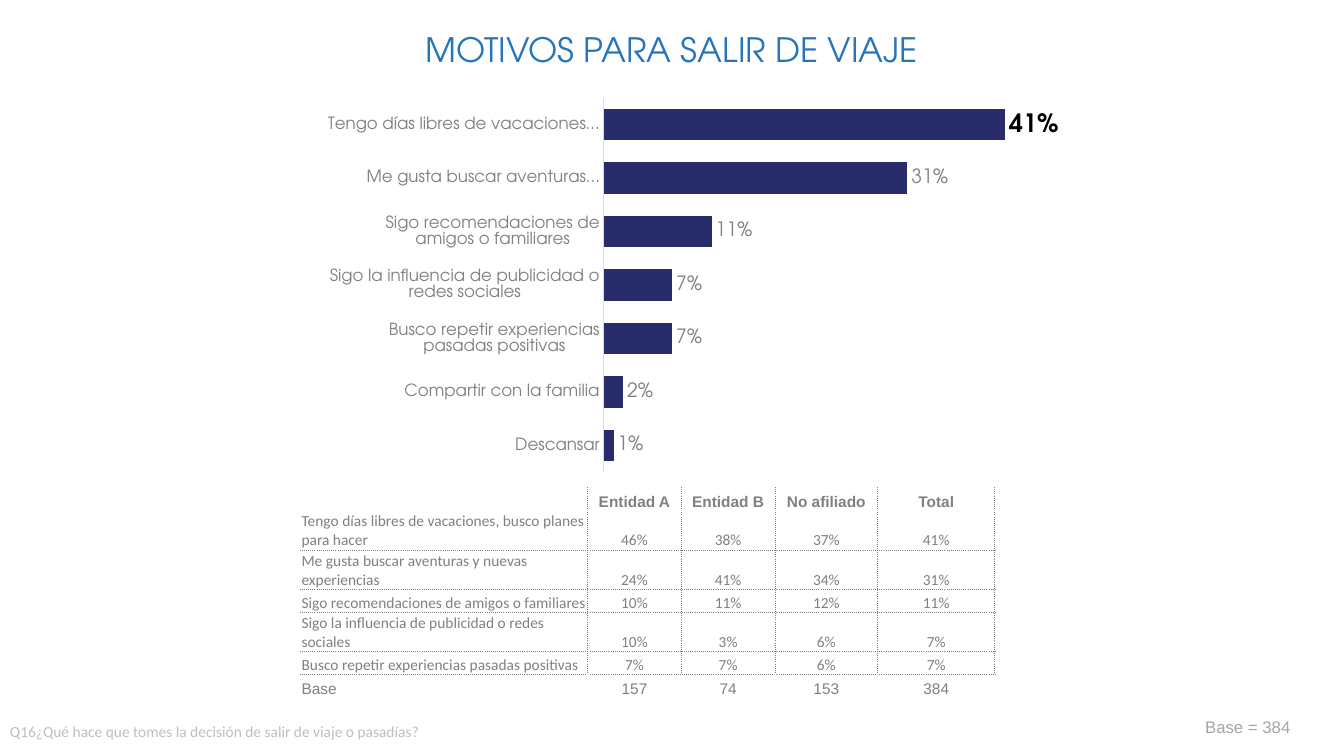
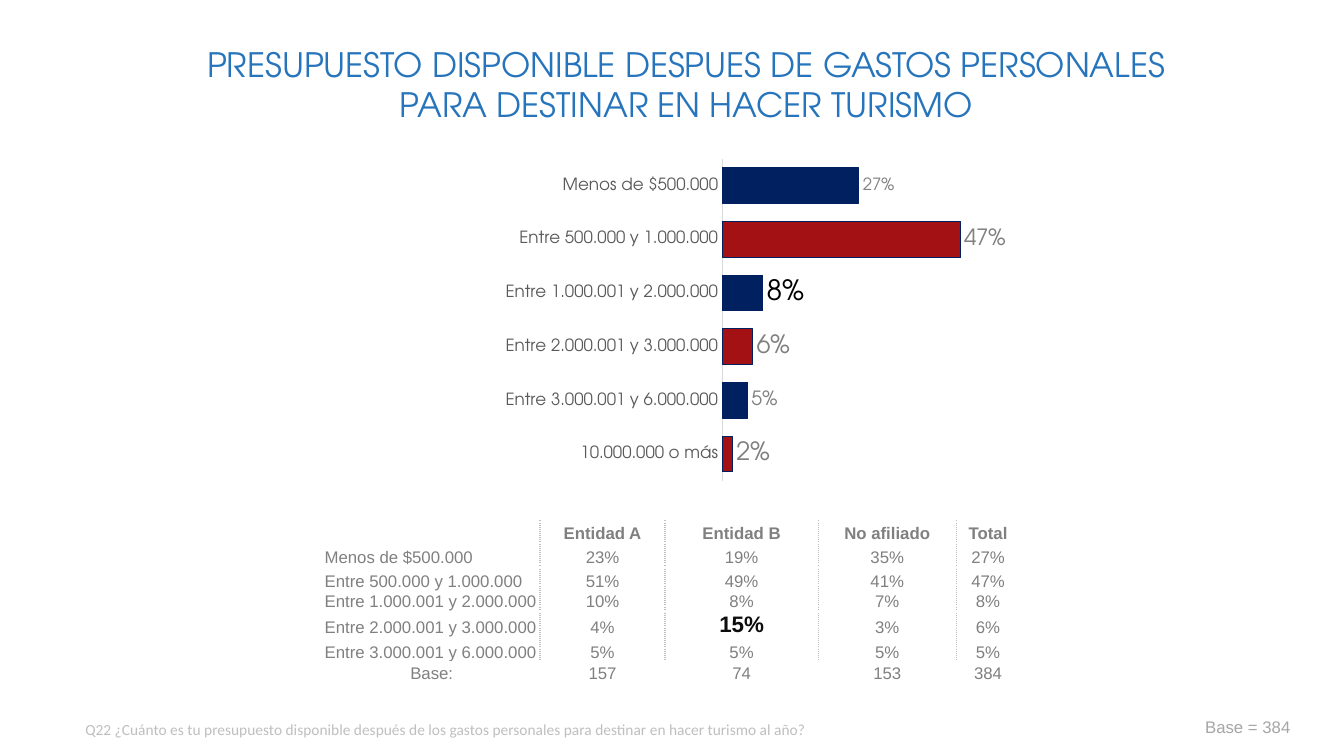
from dataclasses import dataclass

from lxml import etree
from pptx import Presentation
from pptx import util as u
from pptx.chart.data import CategoryChartData
from pptx.dml.color import RGBColor
from pptx.enum import chart as charts
from pptx.enum import text
from pptx.oxml import parse_xml
from pptx.oxml.ns import nsdecls, qn


@dataclass(frozen=True)
class Theme:
    """Colours, fonts and type sizes shared by the slides."""

    title: str = "2674BB"
    gray: str = "808080"
    dark_gray: str = "595959"
    axis: str = "D9D9D9"
    question: str = "BFBFBF"
    base: str = "A6A6A6"
    black: str = "000000"
    highlight: str = "0D0D0D"
    violet: str = "282C6A"
    navy: str = "002060"
    red: str = "A31115"
    table_rule: str = "7F7F7F"
    display_font: str = "TeX Gyre Adventor"
    body_font: str = "Calibri"
    table_font: str = "Arial"
    title_size: int = 24
    note_size: int = 11
    base_size: int = 12
    axis_size: int = 12


THEME = Theme()
HEADERS = ["", "Entidad A", "Entidad B", "No afiliado", "Total"]
BASE_COUNTS = ["157", "74", "153", "384"]


def format_font(font, name, size, color, bold=False):
    """Apply typeface, size, colour and weight to a font."""
    font.name = name
    font.size = u.Pt(size)
    font.color.rgb = RGBColor.from_string(color)
    font.bold = bold


def write_text(frame, content, *, font, size, color, bold=False, align=text.PP_ALIGN.LEFT, before=0):
    """Write one formatted paragraph into a text frame."""
    paragraph = frame.paragraphs[0]
    paragraph.alignment = align
    paragraph.space_before = u.Pt(before)
    if content:
        run = paragraph.add_run()
        run.text = content
        format_font(run.font, font, size, color, bold)
    else:
        etree.SubElement(paragraph._p, qn("a:endParaRPr"), sz=str(size * 100))


def place(shape, box):
    """Move and size a shape to a box given in centimetres."""
    shape.left, shape.top, shape.width, shape.height = map(u.Cm, box)


def add_title(slide, content, box):
    """Fill and place the title placeholder."""
    title = slide.shapes.title
    place(title, box)
    frame = title.text_frame
    frame.margin_left = frame.margin_right = frame.margin_bottom = 0
    frame.margin_top = u.Cm(0.03)
    frame.vertical_anchor = text.MSO_ANCHOR.TOP
    frame.word_wrap = True
    frame.auto_size = text.MSO_AUTO_SIZE.NONE
    write_text(frame, content, font=THEME.display_font, size=THEME.title_size,
               color=THEME.title, align=text.PP_ALIGN.CENTER, before=1)


def add_note(slide, content, box, wrap=True, **style):
    """Add a text box with one line of text."""
    frame = slide.shapes.add_textbox(*map(u.Cm, box)).text_frame
    frame.word_wrap = wrap
    frame.auto_size = text.MSO_AUTO_SIZE.SHAPE_TO_FIT_TEXT
    write_text(frame, content, **style)


def add_footers(slide, question, left, top):
    """Add the survey question and the sample base."""
    add_note(slide, question, (left, top, 29.36, 0.74), font=THEME.body_font,
             size=THEME.note_size, color=THEME.question)
    add_note(slide, "Base = 384", (30.12, 17.93, 2.69, 0.76), wrap=False,
             font=THEME.table_font, size=THEME.base_size, color=THEME.base)


def set_plot_layout(chart, bounds):
    """Fix the inner plot area as fractions of the chart."""
    plot_area = chart._chartSpace.chart.plotArea
    for layout in plot_area.findall(qn("c:layout")):
        plot_area.remove(layout)
    values = "".join(f'<c:{tag} val="{value}"/>' for tag, value in zip("xywh", bounds))
    plot_area.insert(0, parse_xml(
        f'<c:layout {nsdecls("c")}><c:manualLayout><c:layoutTarget val="inner"/>'
        f'<c:xMode val="edge"/><c:yMode val="edge"/>{values}</c:manualLayout></c:layout>'))


def format_axes(chart, color, maximum, reverse):
    """Style the category axis and hide the value axis marks."""
    for axis in (chart.category_axis, chart.value_axis):
        axis.major_tick_mark = axis.minor_tick_mark = charts.XL_TICK_MARK.NONE
        axis.has_major_gridlines = False
    category_axis, value_axis = chart.category_axis, chart.value_axis
    category_axis.reverse_order = reverse
    category_axis.format.line.color.rgb = RGBColor.from_string(THEME.axis)
    category_axis.format.line.width = u.Pt(0.75)
    format_font(category_axis.tick_labels.font, THEME.display_font, THEME.axis_size, color)
    value_axis.tick_label_position = charts.XL_TICK_LABEL_POSITION.NONE
    value_axis.format.line.fill.background()
    value_axis.minimum_scale, value_axis.maximum_scale = 0, maximum


def paint_bar(target, fill, outline):
    """Fill a series or point and draw its outline if it has one."""
    target.format.fill.solid()
    target.format.fill.fore_color.rgb = RGBColor.from_string(fill)
    if outline:
        target.format.line.color.rgb = RGBColor.from_string(outline)
        target.format.line.width = u.Pt(0.75)


def add_bar_chart(slide, box, bars, *, layout, maximum, gap, fill, axis_color, label_size,
                  reverse=False, outline=None, point_fills=None, point_labels=None):
    """Add a horizontal bar chart with percentage labels."""
    data = CategoryChartData(number_format="0%")
    data.categories = [category for category, _ in bars]
    data.add_series("Series 1", [value for _, value in bars])
    chart = slide.shapes.add_chart(charts.XL_CHART_TYPE.BAR_CLUSTERED, *map(u.Cm, box), data).chart
    chart.has_legend = chart.has_title = False
    format_font(chart.font, THEME.body_font, 10, THEME.black)
    set_plot_layout(chart, layout)
    format_axes(chart, axis_color, maximum, reverse)
    plot = chart.plots[0]
    plot.gap_width = gap
    plot.vary_by_categories = False
    series = plot.series[0]
    paint_bar(series, fill, outline)
    labels = series.data_labels
    labels.show_value = True
    labels.number_format, labels.number_format_is_linked = "0%", False
    labels.position = charts.XL_LABEL_POSITION.OUTSIDE_END
    format_font(labels.font, THEME.display_font, label_size, THEME.gray)
    for index, color in (point_fills or {}).items():
        paint_bar(series.points[index], color, outline)
    for index, (size, color, bold) in (point_labels or {}).items():
        label = series.points[index].data_label
        format_font(label.font, THEME.display_font, size, color, bold)
        label.position = charts.XL_LABEL_POSITION.OUTSIDE_END


def set_borders(cell, sides, color, width, dash):
    """Draw dotted borders on the given sides of a cell."""
    properties = cell._tc.get_or_add_tcPr()
    for side in "LRTB":
        if side in sides:
            properties.append(parse_xml(
                f'<a:ln{side} {nsdecls("a")} w="{u.Pt(width)}"><a:solidFill><a:srgbClr val="{color}"/>'
                f'</a:solidFill><a:prstDash val="{dash}"/></a:ln{side}>'))


def border_sides(row, column, last_row, last_column, ruled):
    """Tell which sides of a table cell carry a rule."""
    sides = set()
    if row < last_row:
        if column > 0:
            sides.add("L")
        if column < last_column or ruled:
            sides.add("R")
    if ruled and row > 1:
        sides.add("T")
    if ruled and 0 < row < last_row:
        sides.add("B")
    return sides


def add_results_table(slide, origin, widths, heights, rows, *, size, body_font, ruled,
                      rule, highlights=None):
    """Add the table of answers by affiliation."""
    table = slide.shapes.add_table(len(rows), len(widths), *map(u.Cm, origin),
                                   u.Cm(sum(widths)), u.Cm(sum(heights))).table
    table.first_row = table.horz_banding = False
    for column, width in zip(table.columns, widths):
        column.width = u.Cm(width)
    last_row, last_column = len(rows) - 1, len(widths) - 1
    for row, values in enumerate(rows):
        table.rows[row].height = u.Cm(heights[row])
        for column, value in enumerate(values):
            cell = table.cell(row, column)
            set_borders(cell, border_sides(row, column, last_row, last_column, ruled), *rule)
            cell.fill.background()
            cell.margin_left = cell.margin_right = cell.margin_top = u.Cm(0.03)
            cell.margin_bottom = 0
            cell.vertical_anchor = text.MSO_ANCHOR.BOTTOM
            centered = column > 0 or value == "Base:"
            style = dict(font=body_font if 0 < row < last_row else THEME.table_font,
                         size=size, color=THEME.gray, bold=row == 0,
                         align=text.PP_ALIGN.CENTER if centered else text.PP_ALIGN.LEFT)
            style.update((highlights or {}).get((row, column), {}))
            write_text(cell.text_frame, value, **style)


def build_motives(slide):
    """Build the slide on reasons to travel."""
    add_bar_chart(
        slide, (8.26, 2.06, 18.42, 10.29),
        [("Descansar", 0.01), ("Compartir con la familia", 0.02),
         ("Busco repetir experiencias pasadas positivas", 0.07),
         ("Sigo la influencia de publicidad o redes sociales", 0.07),
         ("Sigo recomendaciones de amigos o familiares", 0.11),
         ("Me gusta buscar aventuras…", 0.31), ("Tengo días libres de vacaciones…", 0.41)],
        layout=(0.377, 0.04, 0.623, 0.916), maximum=0.46, gap=70, fill=THEME.violet,
        axis_color=THEME.gray, label_size=14, point_labels={6: (18, THEME.black, True)})
    add_results_table(
        slide, (7.57, 12.29), [7.24, 2.36, 2.36, 2.59, 2.95], [0.58] * 7,
        [HEADERS,
         ["Tengo días libres de vacaciones, busco planes para hacer", "46%", "38%", "37%", "41%"],
         ["Me gusta buscar aventuras y nuevas experiencias", "24%", "41%", "34%", "31%"],
         ["Sigo recomendaciones de amigos o familiares", "10%", "11%", "12%", "11%"],
         ["Sigo la influencia de publicidad o redes sociales", "10%", "3%", "6%", "7%"],
         ["Busco repetir experiencias pasadas positivas", "7%", "7%", "6%", "7%"],
         ["Base", *BASE_COUNTS]],
        size=11, body_font=THEME.body_font, ruled=True, rule=(THEME.table_rule, 0.5, "dot"))
    add_footers(slide, "Q16¿Qué hace que tomes la decisión de salir de viaje o pasadías?", 0, 18.08)
    add_title(slide, "MOTIVOS PARA SALIR DE VIAJE", (4.09, 0.71, 25.68, 1.07))


def build_budget(slide):
    """Build the slide on the budget for tourism."""
    add_bar_chart(
        slide, (10.8, 3.61, 14.66, 8.89),
        [("Menos de $500.000", 0.27), ("Entre 500.000 y 1.000.000", 0.47),
         ("Entre 1.000.001 y 2.000.000", 0.08), ("Entre 2.000.001 y 3.000.000", 0.06),
         ("Entre 3.000.001 y 6.000.000", 0.05), ("10.000.000 o más", 0.02)],
        layout=(0.505, 0.044, 0.435, 0.913), maximum=0.5, gap=50, fill=THEME.navy,
        axis_color=THEME.dark_gray, label_size=18, reverse=True, outline=THEME.navy,
        point_fills=dict.fromkeys((1, 3, 5), THEME.red),
        point_labels={0: (12, THEME.gray, False), 1: (16, THEME.gray, False),
                      2: (20, THEME.black, False), 4: (14, THEME.gray, False)})
    add_results_table(
        slide, (8.15, 13.13), [5.46, 3.15, 3.86, 3.48, 1.6],
        [0.53, 0.61, 0.61, 0.15, 0.61, 0.61, 0.53],
        [HEADERS,
         ["Menos de $500.000", "23%", "19%", "35%", "27%"],
         ["Entre 500.000 y 1.000.000", "51%", "49%", "41%", "47%"],
         ["Entre 1.000.001 y 2.000.000", "10%", "8%", "7%", "8%"],
         ["Entre 2.000.001 y 3.000.000", "4%", "15%", "3%", "6%"],
         ["Entre 3.000.001 y 6.000.000", "5%", "5%", "5%", "5%"],
         ["Base:", *BASE_COUNTS]],
        size=12, body_font=THEME.table_font, ruled=False, rule=(THEME.question, 1, "sysDot"),
        highlights={(4, 2): dict(size=16, color=THEME.highlight, bold=True)})
    add_footers(slide, "Q22 ¿Cuánto es tu presupuesto disponible después de los gastos personales "
                "para destinar en hacer turismo al año?", 1.9, 18.01)
    add_title(slide, "PRESUPUESTO DISPONIBLE DESPUES DE GASTOS PERSONALES PARA DESTINAR "
              "EN HACER TURISMO", (4.45, 1.07, 25.68, 2.08))


def main():
    """Build and save the presentation."""
    presentation = Presentation()
    presentation.slide_width, presentation.slide_height = u.Cm(33.87), u.Cm(19.05)
    title_only = presentation.slide_layouts[5]
    for build in (build_motives, build_budget):
        build(presentation.slides.add_slide(title_only))
    presentation.save("out.pptx")


if __name__ == "__main__":
    main()
